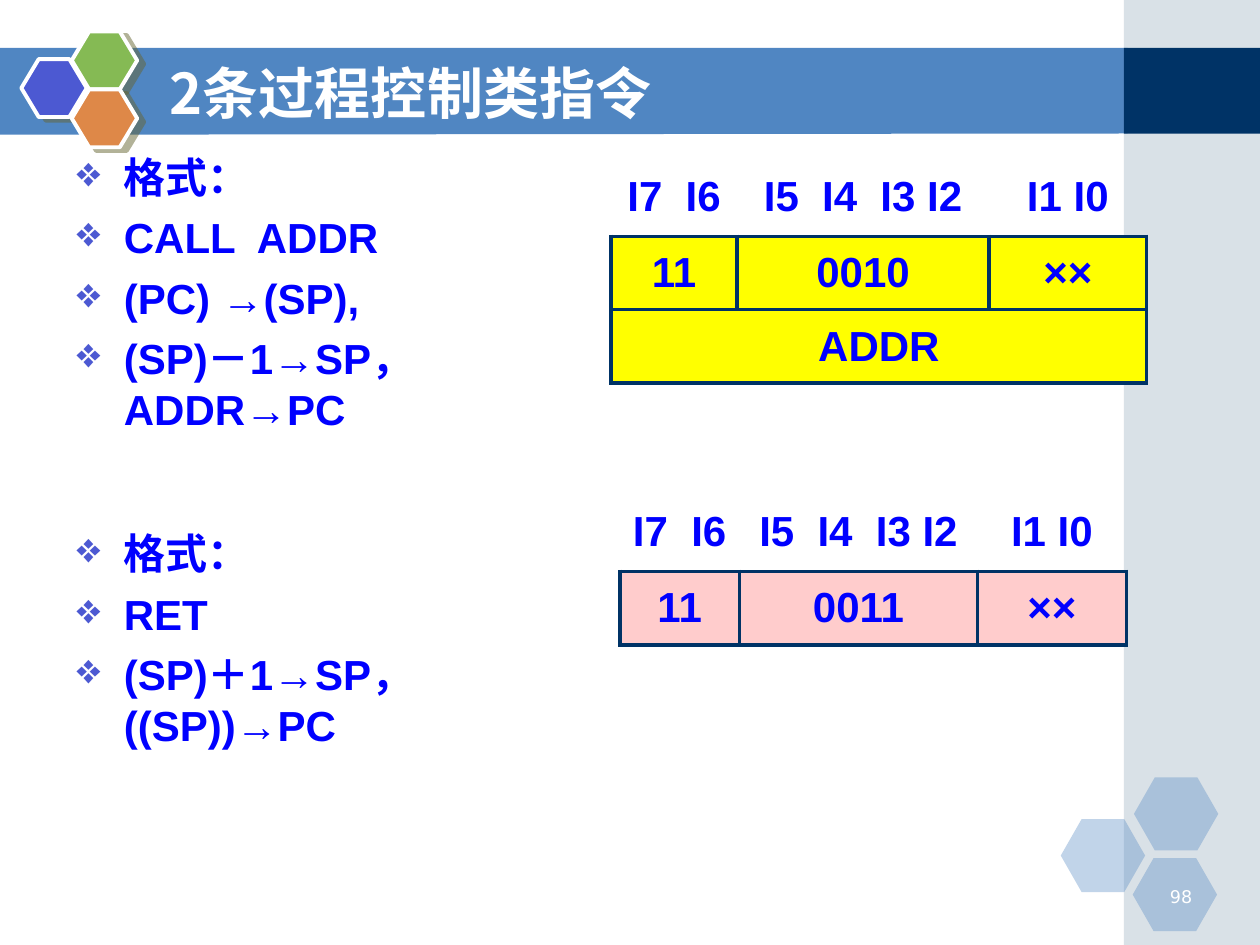
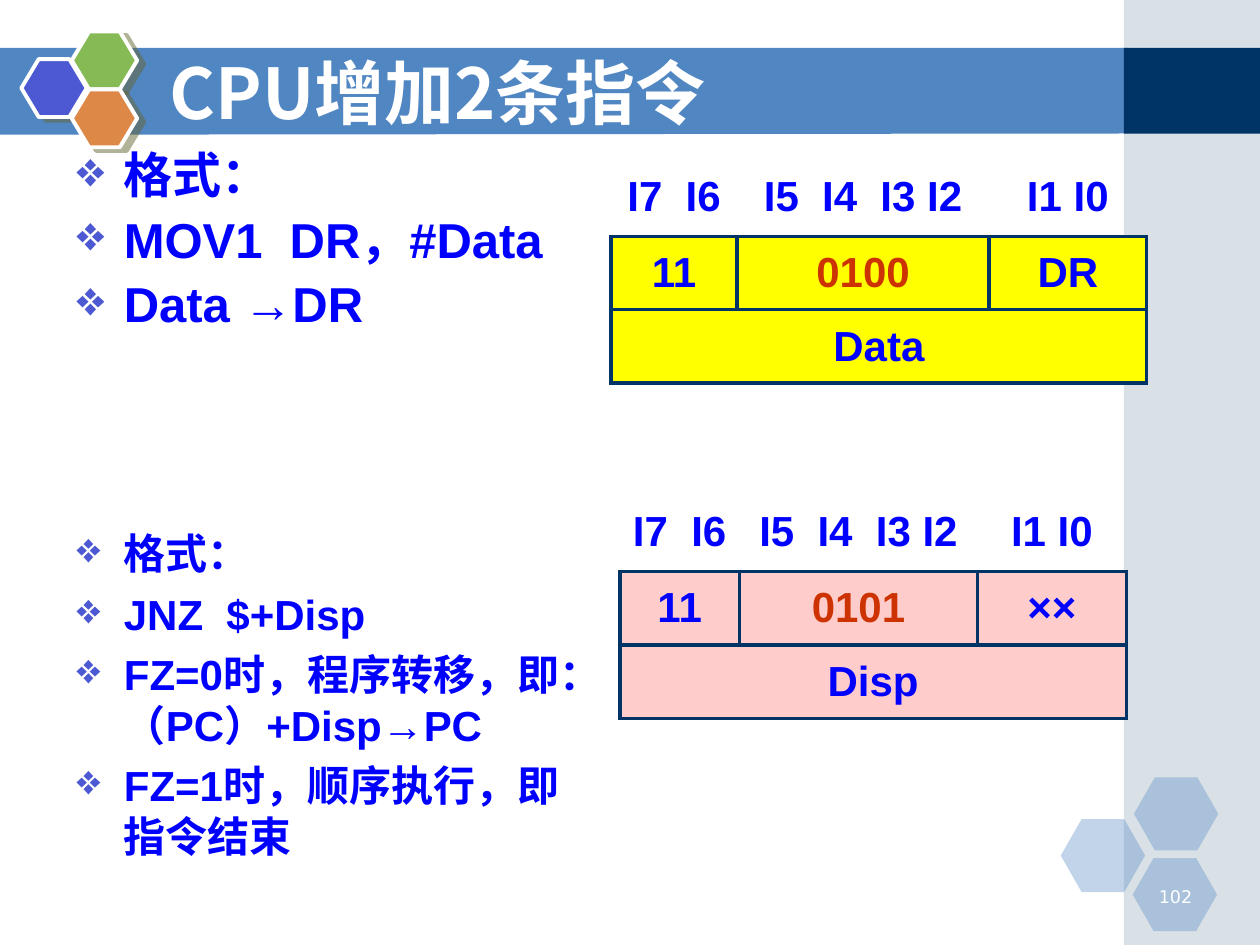
"""Build two slides on added CPU instructions and their bit layouts."""
import pptx
import pptx.dml.color
import pptx.enum.shapes
import pptx.enum.text
import pptx.oxml.ns
import pptx.util
from lxml import etree

Pt = pptx.util.Pt
qn = pptx.oxml.ns.qn
SHAPE = pptx.enum.shapes.MSO_SHAPE
ALIGN = pptx.enum.text.PP_ALIGN
MIDDLE = pptx.enum.text.MSO_ANCHOR.MIDDLE

COLORS = {
    "band": "5086C2", "side": "A0B5C4", "navy": "003366", "white": "FFFFFF",
    "indigo": "4C59D2", "green": "85BA54", "orange": "DE8848", "shadow": "666633",
    "text": "0000FF", "opcode": "CC3300", "yellow": "FFFF00", "pink": "FFCCCC",
}
CJK_FONT = "Noto Sans CJK SC"
BIT_LABELS = ["I7  I6", "I5  I4  I3 I2", "I1 I0"]
ROW_HEIGHTS = [45, 42, 42]
PALE_HEXAGONS = [(606.2, 468), (648, 444.2), (647.3, 490.3)]
LOGO_HEXAGONS = [(12.2, 33.8, "indigo"), (41, 18, "green"), (41, 51.1, "orange")]

SLIDES = [
    {
        "title": "2条过程控制类指令", "title_size": 32, "number": "98",
        "lists": [
            {"top": 82.8, "width": 288, "height": 175.7, "size": 24, "spacing": 1.0,
             "lines": ["格式：", "CALL  ADDR", "(PC) →(SP),", "(SP)－1→SP，ADDR→PC"]},
            {"top": 298, "width": 272, "height": 153.4, "size": 24, "spacing": 1.0,
             "lines": ["格式：", "RET", "(SP)＋1→SP，((SP))→PC"]},
        ],
        "codes": [["11", "0010", "××"], ["11", "0011", "××"]],
        "operands": ["ADDR", None], "opcode_color": "text",
    },
    {
        "title": "CPU增加2条指令", "title_size": 40, "number": "102",
        "lists": [
            {"top": 82.8, "width": 288, "height": 118.8, "size": 28, "spacing": 0.9,
             "lines": ["格式：", "MOV1  DR，#Data", "Data →DR"]},
            {"top": 298, "width": 306, "height": 204.5, "size": 24, "spacing": 1.0,
             "lines": ["格式：", "JNZ  $+Disp", "FZ=0时，程序转移，即：（PC）+Disp→PC",
                       "FZ=1时，顺序执行，即指令结束"]},
        ],
        "codes": [["11", "0100", "DR"], ["11", "0101", "××"]],
        "operands": ["Data", "Disp"], "opcode_color": "opcode",
    },
]
TABLE_STYLES = [
    {"left": 349.2, "top": 90, "columns": [72, 144, 90], "fill": "yellow"},
    {"left": 354.2, "top": 281.5, "columns": [68.4, 136, 85], "fill": "pink"},
]


def write(frame, *lines, size=24, color="text", font="Arial", bold=True,
          align=ALIGN.LEFT, bullet=None, spacing=None):
    """Fill a text frame with one formatted paragraph per line."""
    frame.word_wrap = True
    for index, line in enumerate(lines):
        para = frame.paragraphs[0] if index == 0 else frame.add_paragraph()
        para.alignment = align
        if bullet:
            properties = para._p.get_or_add_pPr()
            properties.set("marL", str(Pt(27)))
            properties.set("indent", str(Pt(-27)))
            tint = etree.SubElement(properties, qn("a:buClr"))
            etree.SubElement(tint, qn("a:srgbClr"), val=COLORS["indigo"])
            etree.SubElement(properties, qn("a:buChar"), char=bullet)
        if spacing:
            para.line_spacing = spacing
        if index:
            para.space_before = Pt(round(size * 0.24, 1))
        span = para.add_run()
        span.text = line
        span.font.size = Pt(size)
        span.font.bold = bold
        span.font.name = font
        span.font.color.rgb = pptx.dml.color.RGBColor.from_string(COLORS[color])
        etree.SubElement(span.font._element, qn("a:ea"), typeface=CJK_FONT)


def paint(shape, color, opacity=None, tilt=None):
    """Give a shape a plain fill without outline or shadow."""
    shape.shadow.inherit = False
    shape.fill.solid()
    shape.fill.fore_color.rgb = pptx.dml.color.RGBColor.from_string(COLORS[color])
    shape.line.fill.background()
    if opacity:
        fill_color = shape.element.spPr.find(qn("a:solidFill")).find(qn("a:srgbClr"))
        etree.SubElement(fill_color, qn("a:alpha"), val=str(opacity * 1000))
    if tilt:
        shape.adjustments[0] = tilt
    return shape


deck = pptx.Presentation()
deck.slide_width, deck.slide_height = Pt(720), Pt(540)

for content in SLIDES:
    page = deck.slides.add_slide(deck.slide_layouts[6])
    shapes = page.shapes

    outline = shapes.build_freeform(Pt(-0.7), Pt(27.4))
    outline.add_line_segments(
        [(Pt(644.4), Pt(27.4)), (Pt(644.4), Pt(76.3)), (Pt(-0.7), Pt(77))], close=True)
    paint(outline.convert_to_shape(), "band")
    paint(shapes.add_shape(SHAPE.RECTANGLE, Pt(642.2), 0, Pt(77.8), Pt(540)),
          "side", opacity=40)
    paint(shapes.add_shape(SHAPE.RECTANGLE, Pt(642.2), Pt(27.4), Pt(77.8), Pt(49)), "navy")

    for left, top in PALE_HEXAGONS:
        paint(shapes.add_shape(SHAPE.HEXAGON, Pt(left), Pt(top), Pt(48.2), Pt(41.8)),
              "band", opacity=35, tilt=0.286)
    for left, top, color in LOGO_HEXAGONS:
        hexagon = paint(
            shapes.add_shape(SHAPE.HEXAGON, Pt(left), Pt(top), Pt(37.4), Pt(33.1)),
            color, tilt=0.3)
        hexagon.line.color.rgb = pptx.dml.color.RGBColor.from_string(COLORS["white"])
        hexagon.line.width = Pt(2.25)
        shadow = etree.SubElement(
            hexagon.element.spPr.find(qn("a:effectLst")), qn("a:outerShdw"),
            blurRad="0", dist=str(Pt(4.5)), dir=str(27 * 60000), rotWithShape="0")
        shade = etree.SubElement(shadow, qn("a:srgbClr"), val=COLORS["shadow"])
        etree.SubElement(shade, qn("a:alpha"), val="50000")

    number_box = shapes.add_textbox(Pt(652.3), Pt(502.6), Pt(36), Pt(18))
    write(number_box.text_frame, content["number"], size=10, color="white",
          font="DejaVu Sans", bold=False, align=ALIGN.RIGHT)
    title_box = shapes.add_textbox(Pt(90), Pt(30.2), Pt(527.8), Pt(44.6))
    title_box.text_frame.vertical_anchor = MIDDLE
    write(title_box.text_frame, content["title"], size=content["title_size"],
          color="white", font=CJK_FONT)

    for item in content["lists"]:
        box = shapes.add_textbox(Pt(36.7), Pt(item["top"]), Pt(item["width"]),
                                 Pt(item["height"]))
        write(box.text_frame, *item["lines"], size=item["size"], bullet="❖",
              spacing=item["spacing"])

    for style, codes, operand in zip(TABLE_STYLES, content["codes"], content["operands"]):
        rows = [BIT_LABELS, codes]
        if operand:
            rows.append([operand, "", ""])
        heights = ROW_HEIGHTS[:len(rows)]
        table = shapes.add_table(
            len(rows), 3, Pt(style["left"]), Pt(style["top"]),
            Pt(sum(style["columns"])), Pt(sum(heights))).table
        table.first_row = table.horz_banding = False
        for column, width in zip(table.columns, style["columns"]):
            column.width = Pt(width)
        for row, height in zip(table.rows, heights):
            row.height = Pt(height)
        if operand:
            table.cell(2, 0).merge(table.cell(2, 2))

        for row_index, row in enumerate(rows):
            for column_index, text in enumerate(row):
                cell = table.cell(row_index, column_index)
                cell.margin_left = cell.margin_right = Pt(1.44)
                cell.margin_top = cell.margin_bottom = Pt(1.44)
                cell.vertical_anchor = MIDDLE
                cell_properties = cell._tc.get_or_add_tcPr()
                for side in ("lnL", "lnR", "lnT", "lnB"):
                    border = etree.SubElement(cell_properties, qn(f"a:{side}"),
                                              w=str(Pt(2.25)))
                    if row_index == 0 and side != "lnB":
                        etree.SubElement(border, qn("a:noFill"))
                    else:
                        ink = etree.SubElement(border, qn("a:solidFill"))
                        etree.SubElement(ink, qn("a:srgbClr"), val=COLORS["navy"])
                if row_index == 0:
                    cell.fill.background()
                else:
                    cell.fill.solid()
                    cell.fill.fore_color.rgb = pptx.dml.color.RGBColor.from_string(
                        COLORS[style["fill"]])
                if text:
                    is_opcode = (row_index, column_index) == (1, 1)
                    write(cell.text_frame, text, align=ALIGN.CENTER,
                          color=content["opcode_color"] if is_opcode else "text")

deck.save("out.pptx")
